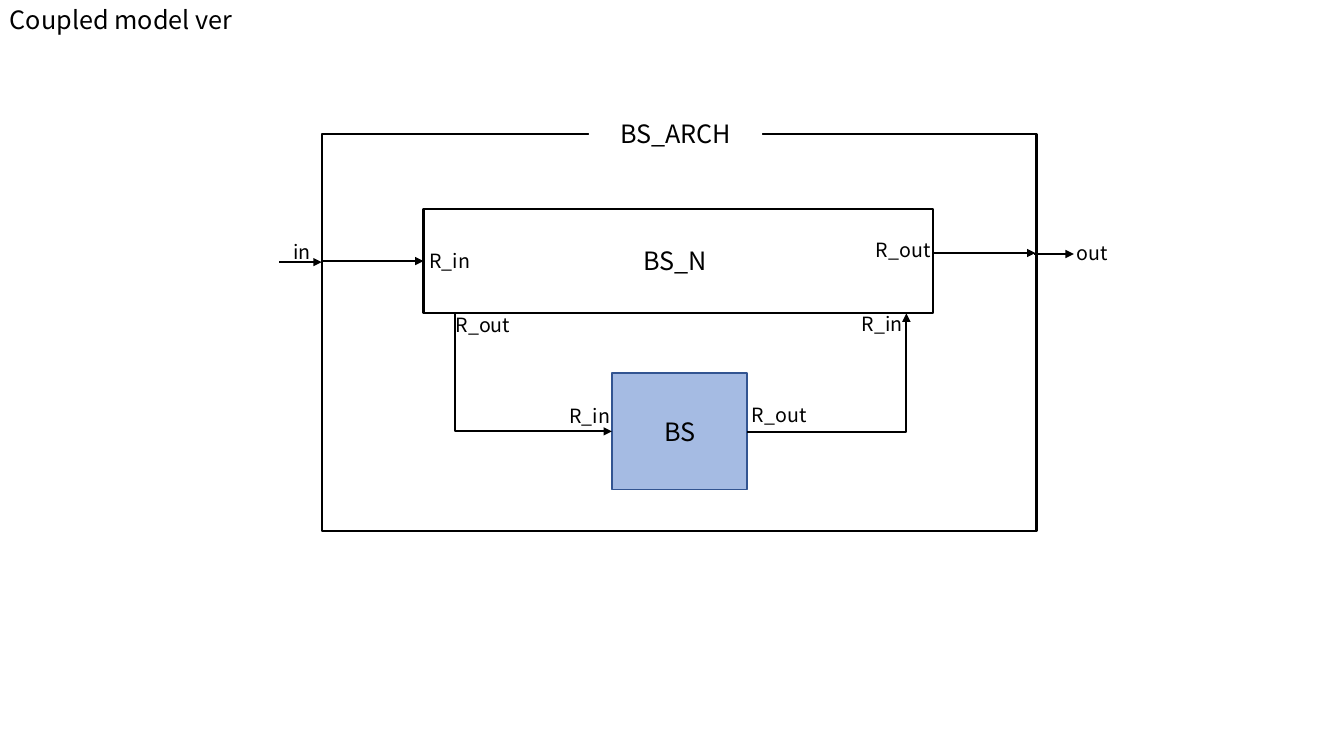
from lxml import etree
from pptx import Presentation
from pptx import util as u
from pptx.dml.color import RGBColor
from pptx.enum import shapes, text
from pptx.oxml import ns

BLACK = RGBColor(0x00, 0x00, 0x00)
WHITE = RGBColor(0xFF, 0xFF, 0xFF)
MODEL_BLUE = RGBColor(0xA5, 0xBB, 0xE3)
EDGE_BLUE = RGBColor(0x32, 0x54, 0x91)


class Diagram:
    """Draws a coupled model on a grid of cells a tenth of an inch wide and high."""

    cell = u.Inches(0.1)
    font = "Noto Sans CJK KR"
    title_size, port_size = 18, 14
    line_width = 1.5

    def __init__(self, deck):
        self.slide = deck.slides.add_slide(deck.slide_layouts[6])

    def grid(self, *cells):
        return [round(count * self.cell) for count in cells]

    def box(self, place, fill=None, edge=None, width=line_width):
        rect = self.slide.shapes.add_shape(
            shapes.MSO_SHAPE.RECTANGLE, *self.grid(*place))
        rect.shadow.inherit = False
        if fill is None:
            rect.fill.background()
        else:
            rect.fill.solid()
            rect.fill.fore_color.rgb = fill
        if edge is None:
            rect.line.fill.background()
        else:
            rect.line.color.rgb = edge
            rect.line.width = u.Pt(width)
        return rect

    def put_words(self, holder, words, size, align):
        holder.text_frame.word_wrap = True
        paragraph = holder.text_frame.paragraphs[0]
        paragraph.text = words
        paragraph.alignment = align
        paragraph.font.size = u.Pt(size)
        paragraph.font.name = self.font
        paragraph.font.color.rgb = BLACK

    def heading(self, words, place):
        self.put_words(self.box(place, WHITE), words, self.title_size,
                       text.PP_ALIGN.CENTER)

    def label(self, words, place, size=port_size, align=text.PP_ALIGN.LEFT):
        holder = self.slide.shapes.add_textbox(*self.grid(*place))
        self.put_words(holder, words, size, align)

    def arrow(self, start, end, bend=None):
        kind = shapes.MSO_CONNECTOR.STRAIGHT if bend is None else shapes.MSO_CONNECTOR.ELBOW
        link = self.slide.shapes.add_connector(kind, *self.grid(*start, *end))
        link.line.color.rgb = BLACK
        link.line.width = u.Pt(self.line_width)
        properties = link._element.spPr
        etree.SubElement(properties.find(ns.qn("a:ln")), ns.qn("a:tailEnd"), type="triangle")
        etree.SubElement(properties, ns.qn("a:effectLst"))
        if bend is not None:
            geometry = properties.find(ns.qn("a:prstGeom"))
            adjustments = geometry.find(ns.qn("a:avLst"))
            if adjustments is None:
                adjustments = etree.SubElement(geometry, ns.qn("a:avLst"))
            etree.SubElement(adjustments, ns.qn("a:gd"), name="adj1",
                             fmla=f"val {round(bend * 100000)}")
        return link


def main():
    deck = Presentation()
    deck.slide_width, deck.slide_height = u.Inches(13.33), u.Inches(7.5)
    diagram = Diagram(deck)

    diagram.heading("BS_N", (59.8, 23.8, 14.3, 4.1))
    network = diagram.box((42, 20.7, 50.5, 10.4), edge=BLACK)
    diagram.box((60.7, 37, 13.4, 11.6), MODEL_BLUE, EDGE_BLUE, 1)
    diagram.box((31.9, 13.3, 70.9, 39.4), edge=BLACK)
    diagram.heading("BS_ARCH", (58.4, 11.2, 17.2, 4))

    diagram.arrow((27.7, 26), (31.9, 26))
    diagram.arrow((31.9, 25.9), (42, 25.9)).end_connect(network, 1)
    diagram.arrow((92.5, 25.1), (102.7, 25.1))
    diagram.arrow((102.6, 25.2), (106.5, 25.2))
    diagram.arrow((45.1, 31.1), (60.7, 42.8), bend=0)
    diagram.arrow((74.1, 42.9), (89.9, 31.1), bend=1)

    port_height = 3.4
    ports = [
        ("in", 28.1, 23.3, 4.9),
        ("R_in", 41.6, 24.2, 10.8),
        ("R_out", 85.9, 23.1, 12),
        ("out", 105.8, 23.4, 6),
        ("R_out", 44.2, 30.6, 12.5),
        ("R_in", 55.5, 39.6, 11.4),
        ("R_out", 73.6, 39.5, 12.5),
        ("R_in", 84.5, 30.5, 11.4),
    ]
    for words, left, top, width in ports:
        diagram.label(words, (left, top, width, port_height))
    diagram.label("BS", (64.1, 40.8, 6.7, 4), diagram.title_size, text.PP_ALIGN.CENTER)
    diagram.label("Coupled model ver", (0, -0.1, 29.6, 4), diagram.title_size)

    deck.save("out.pptx")


if __name__ == "__main__":
    main()
